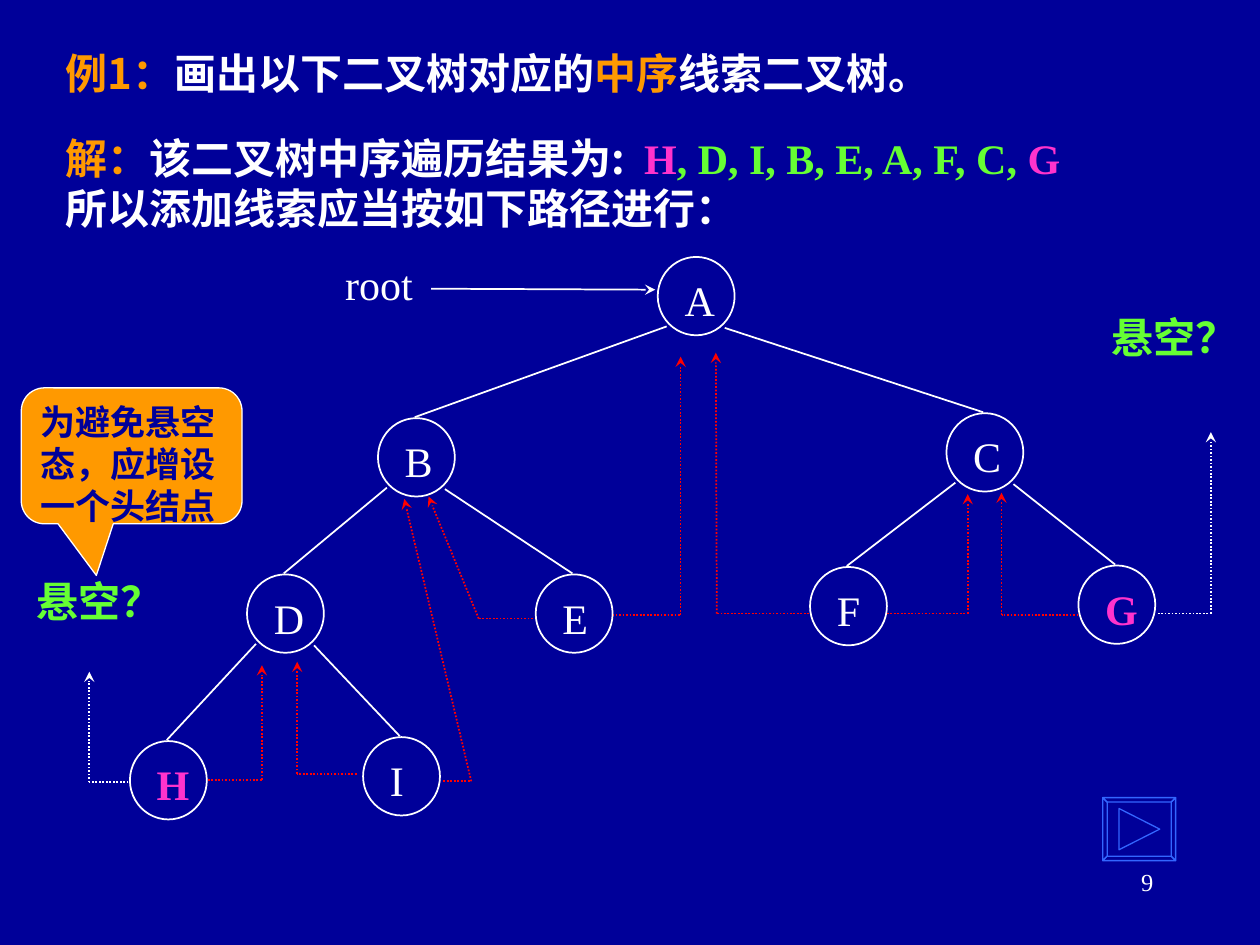
from lxml.etree import SubElement
from pptx import Presentation
from pptx.dml.color import RGBColor
from pptx.enum.dml import MSO_LINE
from pptx.enum.shapes import MSO_CONNECTOR as Link, MSO_SHAPE as Preset
from pptx.enum.text import MSO_ANCHOR as Anchor, PP_ALIGN as Align
from pptx.oxml.ns import qn
from pptx.util import Cm, Pt

NAVY, WHITE, ORANGE, GREEN = "000099", "FFFFFF", "FF9900", "66FF33"
PINK, RED, BLUE = "FF33CC", "FF0000", "3366FF"
SERIF, HEI = "Times New Roman", "Noto Sans CJK SC"

NODE_W, NODE_H = 1.55, 1.58
NODES = {
    "A": (11.56, 0.18), "B": (5.92, 3.43), "C": (17.38, 3.33),
    "D": (3.28, 6.58), "E": (9.1, 6.58), "F": (14.63, 6.43),
    "G": (20.04, 6.4), "H": (0.92, 9.94), "I": (5.62, 9.86),
}
CHILDREN = {"A": "BC", "B": "DE", "C": "FG", "D": "HI"}
BRANCH_STARTS = ((0.18, 1.4), (1.35, 1.43))
DANGLING = "HG"
THREADS = [
    (RED, (7.24, 10.75), (7.8, 10.75), (6.45, 5.06)),
    (RED, (9.04, 7.47), (7.95, 7.47), (6.94, 5.01)),
    (RED, (5.49, 10.6), (4.29, 10.6), (4.29, 8.34)),
    (RED, (2.49, 10.72), (3.58, 10.72), (3.58, 8.41)),
    (RED, (14.61, 7.37), (12.75, 7.37), (12.73, 2.11)),
    (RED, (20.04, 7.4), (18.49, 7.4), (18.49, 4.93)),
    (WHITE, (0.89, 10.77), (0.1, 10.77), (0.1, 8.54)),
    (RED, (10.64, 7.4), (12.02, 7.4), (12.02, 2.19)),
    (RED, (16.18, 7.37), (17.81, 7.37), (17.81, 4.96)),
    (WHITE, (21.64, 7.37), (22.71, 7.37), (22.71, 3.71)),
]


def rgb(code):
    """Turn a hex string into a colour."""
    return RGBColor.from_string(code)


def apply(target, formats):
    """Set each attribute named in a dict of format values."""
    for name, value in formats.items():
        setattr(target, name, value)


def write(frame, paragraphs, size=24, bold=True, leading=None, **formats):
    """Fill a text frame with paragraphs of (text, colour, font) runs."""
    apply(frame, {"word_wrap": True, **formats})
    for index, runs in enumerate(paragraphs):
        paragraph = frame.add_paragraph() if index else frame.paragraphs[0]
        apply(paragraph, {"alignment": Align.LEFT, "line_spacing": leading})
        for text, color, font in runs:
            run = paragraph.add_run()
            run.text = text
            apply(run.font, {"size": Pt(size), "bold": bold, "name": font})
            run.font.color.rgb = rgb(color)
            SubElement(run.font._element, qn("a:ea")).set("typeface", HEI)


def add_label(slide, box, paragraphs, **formats):
    """Add a text box at box and return it."""
    label = slide.shapes.add_textbox(*map(Cm, box))
    write(label.text_frame, paragraphs, **formats)
    return label


def draw_outline(shape, color, width):
    """Give a shape a plain outline and no fill or shadow."""
    shape.shadow.inherit = False
    shape.fill.background()
    shape.line.color.rgb = rgb(color)
    shape.line.width = Pt(width)


def add_line(slide, origin, start, end, color=WHITE, dotted=False, arrow=False):
    """Join two points given relative to origin."""
    points = [Cm(o + v) for point in (start, end) for o, v in zip(origin, point)]
    line = slide.shapes.add_connector(Link.STRAIGHT, *points)
    line.line.color.rgb = rgb(color)
    line.line.width = Pt(1)
    if dotted:
        line.line.dash_style = MSO_LINE.ROUND_DOT
    if arrow:
        SubElement(line.line._get_or_add_ln(), qn("a:tailEnd")).set("type", "stealth")
    SubElement(line._element.spPr, qn("a:effectLst"))


def add_threads(slide, origin):
    """Draw the dotted in-order threads, each with one elbow."""
    for color, start, elbow, tip in THREADS:
        add_line(slide, origin, start, elbow, color, dotted=True)
        add_line(slide, origin, elbow, tip, color, dotted=True, arrow=True)


def add_tree(slide, origin):
    """Draw the nodes, branches and root pointer of the binary tree."""
    left, top = origin
    for letter, (x, y) in NODES.items():
        box = (left + x, top + y, NODE_W, NODE_H)
        node = slide.shapes.add_shape(Preset.OVAL, *map(Cm, box))
        draw_outline(node, WHITE, 1)
        ends = letter in DANGLING
        add_label(slide, (left + x + 0.29, top + y + 0.23, 1.1, 1.27),
                  [[(letter, PINK if ends else WHITE, SERIF)]],
                  bold=ends, word_wrap=False)
    for parent, children in CHILDREN.items():
        x, y = NODES[parent]
        for (dx, dy), child in zip(BRANCH_STARTS, children):
            child_x, child_y = NODES[child]
            add_line(slide, origin, (x + dx, y + dy), (child_x + 0.74, child_y - 0.02))
    add_line(slide, origin, (6.99, 0.82), (11.51, 0.84), arrow=True)
    add_label(slide, (left + 5.01, top + 0.08, 1.88, 1.27),
              [[("root", WHITE, SERIF)]], bold=False, word_wrap=False)


def add_callout(slide, box):
    """Add the orange callout about the head node."""
    callout = slide.shapes.add_shape(Preset.ROUNDED_RECTANGULAR_CALLOUT, *map(Cm, box))
    draw_outline(callout, WHITE, 0.75)
    callout.fill.solid()
    callout.fill.fore_color.rgb = rgb(ORANGE)
    for index, value in enumerate((-0.16, 0.88, 0.17)):
        callout.adjustments[index] = value
    write(callout.text_frame, [[("为避免悬空态，应增设一个头结点", NAVY, SERIF)]],
          size=20, leading=Pt(24), vertical_anchor=Anchor.TOP)


def add_next_button(slide, box):
    """Draw a bevelled button with a triangle pointing right."""
    left, top, width, height = box
    rim = 0.09

    def corners(inset):
        """List the corners of the button moved inwards by inset."""
        x0, y0 = left + inset, top + inset
        x1, y1 = left + width - inset, top + height - inset
        return [(x0, y0), (x1, y0), (x1, y1), (x0, y1)]

    outer, inner = corners(0), corners(rim)
    bevels = [[outer[i - 1], outer[i], inner[i], inner[i - 1]] for i in range(4)]
    triangle = [(left + 0.33, top + 0.22), (left + 1.15, top + height / 2),
                (left + 0.33, top + height - 0.22)]
    builder = slide.shapes.build_freeform(*map(Cm, outer[0]))
    for outline in (outer, *bevels, triangle):
        points = [(Cm(x), Cm(y)) for x, y in outline]
        builder.move_to(*points[0])
        builder.add_line_segments(points[1:], close=True)
    draw_outline(builder.convert_to_shape(), BLUE, 0.75)


def add_title(slide, box):
    """Place the title and write the exercise in it."""
    title = slide.shapes.title
    apply(title, dict(zip(("left", "top", "width", "height"), map(Cm, box))))
    write(title.text_frame,
          [[("例1：", ORANGE, HEI), ("画出以下二叉树对应的", WHITE, HEI),
            ("中序", ORANGE, HEI), ("线索二叉树。", WHITE, HEI)]],
          vertical_anchor=Anchor.MIDDLE)


def add_solution(slide, box):
    """Write the in-order sequence and the lead-in to the tree."""
    add_label(slide, box, [
        [("解：", ORANGE, HEI), ("该二叉树中序遍历结果为:  ", WHITE, HEI),
         ("H", PINK, SERIF), (", D, I, B, E, A, F, C,", GREEN, SERIF),
         (" G", PINK, SERIF)],
        [("所以添加线索应当按如下路径进行：", WHITE, HEI)],
    ], leading=Pt(28.8))


def build():
    """Build the slide and save it."""
    deck = Presentation()
    apply(deck, {"slide_width": Cm(25.4), "slide_height": Cm(19.05)})
    slide = deck.slides.add_slide(deck.slide_layouts[5])
    slide.background.fill.solid()
    slide.background.fill.fore_color.rgb = rgb(NAVY)
    tree_origin = (1.7, 5)
    add_threads(slide, tree_origin)
    add_tree(slide, tree_origin)
    for box in ((0.48, 11.48, 2.92, 1.27), (22.15, 6.15, 3.05, 1.27)):
        add_label(slide, box, [[("悬空？", GREEN, SERIF)]], leading=Pt(28.8))
    add_solution(slide, (1.07, 2.54, 22.43, 2.29))
    add_callout(slide, (0.43, 7.82, 4.45, 2.74))
    add_next_button(slide, (22.23, 16.08, 1.47, 1.27))
    add_title(slide, (1.07, 0.84, 21.59, 1.27))
    number = add_label(slide, (18.21, 17.35, 5.29, 1.27),
                       [[("9", WHITE, SERIF)]], size=14, bold=False)
    number.text_frame.paragraphs[0].alignment = Align.RIGHT
    deck.save("out.pptx")


if __name__ == "__main__":
    build()
